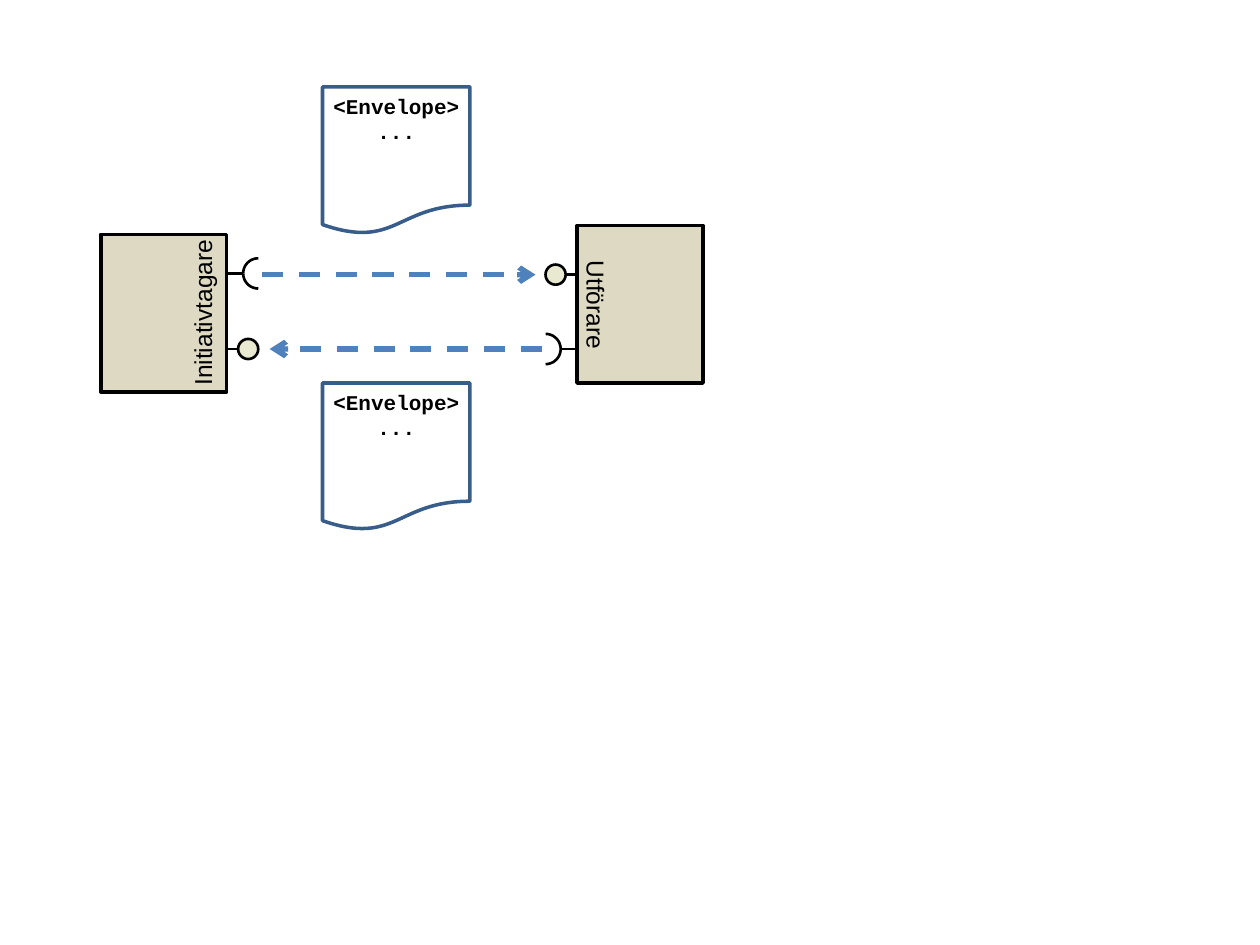
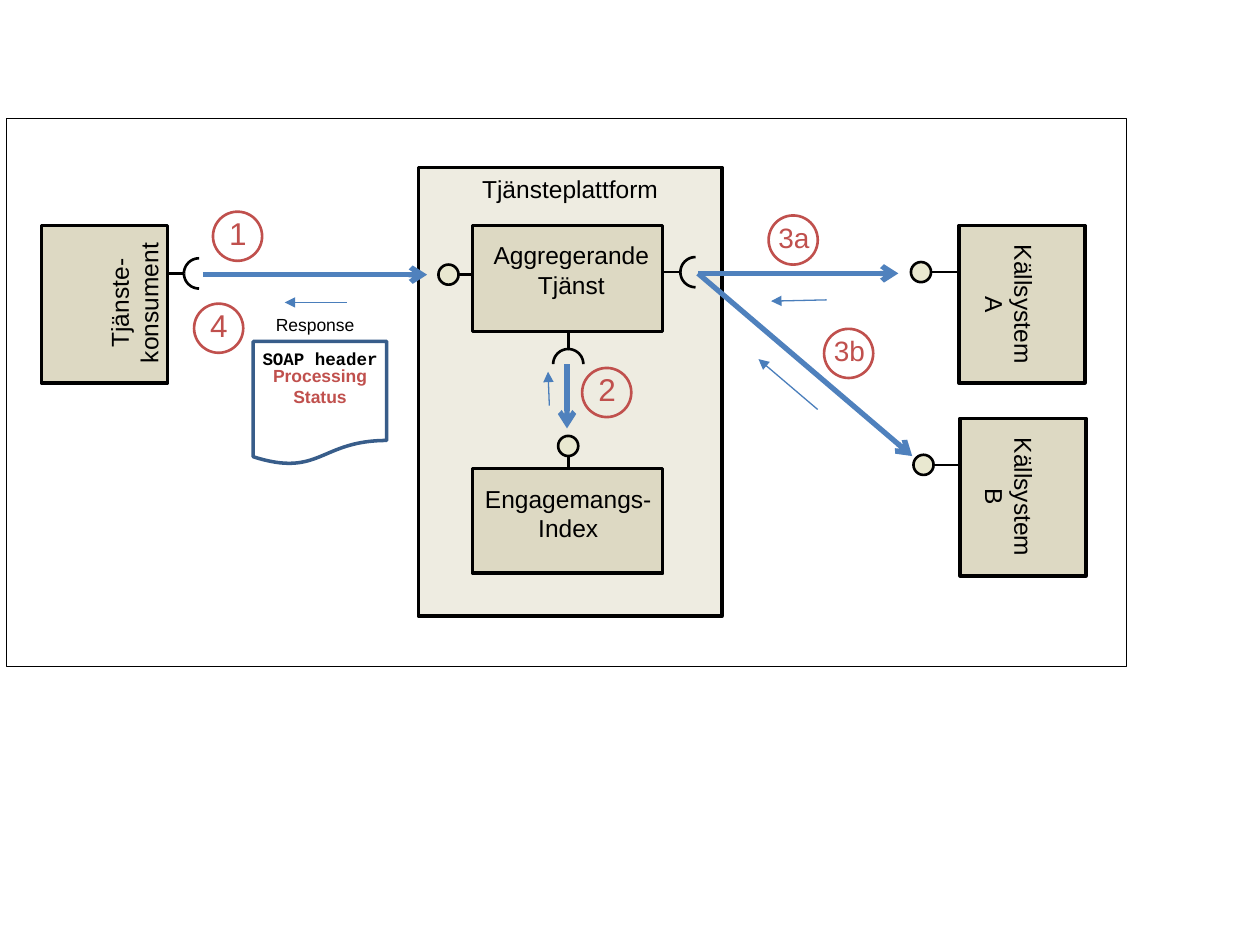
from dataclasses import dataclass
from math import atan2, cos, pi, sin

from lxml.etree import SubElement
from pptx import Presentation
from pptx.dml.color import RGBColor
from pptx.enum.dml import MSO_LINE
from pptx.enum.shapes import MSO_CONNECTOR as Connector, MSO_SHAPE as Shape
from pptx.enum.text import MSO_ANCHOR as Anchor, MSO_AUTO_SIZE as AutoSize, PP_ALIGN as Align
from pptx.oxml.ns import qn
from pptx.util import Inches, Pt


@dataclass(frozen=True)
class Theme:
    ink: str = "000000"
    paper: str = "FFFFFF"
    component: str = "DDD9C3"
    platform: str = "EEECE1"
    ball: str = "E9E8D0"
    document: str = "385D8A"
    request: str = "4F81BD"
    response: str = "4A7EBB"
    accent: str = "C0504D"
    hairline: float = 0.75
    stem: float = 1.5
    outline: float = 2
    thick: float = 3
    ball_radius: float = 0.08
    socket_radius: float = 0.12
    arc_steps: int = 12
    badge_size: float = 0.39
    text_inset: float = 0.1
    tight_inset: float = 0.07


THEME = Theme()

TEXT_STYLES = {
    "label": {"name": "Arial", "size": 14, "color": THEME.ink, "bold": False},
    "caption": {"name": "Arial", "size": 10, "color": THEME.ink, "bold": False},
    "status": {"name": "Arial", "size": 10, "color": THEME.accent, "bold": True},
    "code": {"name": "Courier New", "size": 12, "color": THEME.ink, "bold": True},
    "small code": {"name": "Courier New", "size": 10, "color": THEME.ink, "bold": True},
    "number": {"name": "Arial", "size": 18, "color": THEME.accent, "bold": False},
    "substep": {"name": "Arial", "size": 16, "color": THEME.accent, "bold": False},
}

ARROW_STYLES = {
    "message": (THEME.request, THEME.thick, "arrow", MSO_LINE.DASH),
    "request": (THEME.request, THEME.thick, "arrow", None),
    "response": (THEME.response, THEME.hairline, "triangle", None),
}

BADGE_TEXT = {
    "number": (0.03, -0.03, 0.34, 0.4),
    "substep": (-0.02, -0.01, 0.44, 0.37),
}

MESSAGE_SLIDE = {
    "components": [(0.8, 1.86, 1, 1.25), (4.58, 1.79, 1, 1.25)],
    "ports": [
        ("socket", (1.63, 2.17), (1.93, 2.17)),
        ("ball", (1.53, 2.77), (1.89, 2.77)),
        ("ball", (4.85, 2.18), (4.49, 2.18)),
        ("socket", (4.75, 2.77), (4.45, 2.77)),
    ],
    "arrows": [
        ("message", (2.08, 2.18), (4.25, 2.18)),
        ("message", (4.3, 2.77), (2.14, 2.77)),
    ],
    "documents": [(2.56, 0.69, 1.17, 1.17), (2.56, 3.04, 1.17, 1.17)],
    "texts": [
        (["Initiativtagare"], "label", (0.93, 2.31, 1.36, 0.34), {"rotation": 270, "align": Align.LEFT}),
        (["Utförare"], "label", (4.28, 2.25, 0.9, 0.34), {"rotation": 90, "align": Align.LEFT}),
        (["<Envelope>", "..."], "code", (2.27, 0.69, 1.75, 0.9), {"wrap": True}),
        (["<Envelope>", "..."], "code", (2.27, 3.04, 1.75, 0.9), {"wrap": True}),
    ],
    "badges": [],
}

AGGREGATION_SLIDE = {
    "components": [
        (3.75, 1.79, 1.51, 0.84),
        (3.75, 3.72, 1.51, 0.83),
        (0.33, 1.79, 1, 1.25),
        (7.61, 1.79, 1, 1.25),
        (7.62, 3.32, 1, 1.25),
    ],
    "ports": [
        ("socket", (1.16, 2.17), (1.46, 2.17)),
        ("ball", (4, 2.18), (3.64, 2.18)),
        ("socket", (5.1, 2.16), (5.4, 2.16)),
        ("socket", (4.51, 2.47), (4.51, 2.77)),
        ("ball", (4.51, 3.99), (4.51, 3.62)),
        ("ball", (7.75, 2.16), (7.39, 2.16)),
        ("ball", (7.77, 3.69), (7.41, 3.69)),
    ],
    "arrows": [
        ("request", (1.61, 2.18), (3.39, 2.18)),
        ("response", (2.75, 2.4), (2.26, 2.4)),
        ("request", (4.5, 2.89), (4.5, 3.4)),
        ("response", (4.36, 3.22), (4.35, 2.95)),
        ("request", (5.54, 2.17), (7.13, 2.17)),
        ("response", (6.56, 2.38), (6.12, 2.39)),
        ("request", (5.54, 2.17), (7.24, 3.62)),
        ("response", (6.49, 3.25), (6.02, 2.85)),
    ],
    "documents": [(2.01, 2.71, 1.06, 0.98)],
    "texts": [
        (["Tjänste-", "konsument"], "label", (0.49, 2.12, 1.15, 0.57), {"rotation": 270}),
        (["Aggregerande", "Tjänst"], "label", (3.82, 1.86, 1.43, 0.57), {}),
        (["Engagemangs-", "Index"], "label", (3.75, 3.79, 1.52, 0.57), {}),
        (["Källsystem", "A"], "label", (7.44, 2.13, 1.14, 0.57), {"rotation": 90}),
        (["Källsystem", "B"], "label", (7.44, 3.66, 1.14, 0.57), {"rotation": 90}),
        (["Response"], "caption", (2.09, 2.44, 0.82, 0.27), {}),
        (["SOAP header"], "small code", (1.95, 2.71, 1.18, 0.6), {"wrap": True}),
        (["Processing", "Status"], "status", (2.07, 2.85, 0.94, 0.44), {}),
    ],
    "badges": [
        ("1", "number", 1.69, 1.68),
        ("2", "number", 4.62, 2.92),
        ("3a", "substep", 6.1, 1.71),
        ("3b", "substep", 6.54, 2.61),
        ("4", "number", 1.54, 2.41),
    ],
}

PLATFORM = ("Tjänsteplattform", (3.32, 1.33, 2.41, 3.56))
FRAME = (0.05, 0.94, 8.89, 4.35)


def set_all(target, formats):
    for name, value in formats.items():
        setattr(target, name, value)


def paint_line(line, color, width):
    line.color.rgb = RGBColor.from_string(color)
    line.width = Pt(width)


def paint_shape(shape, fill, color=THEME.ink, width=THEME.outline):
    shape.shadow.inherit = False
    if fill:
        shape.fill.solid()
        shape.fill.fore_color.rgb = RGBColor.from_string(fill)
    else:
        shape.fill.background()
    paint_line(shape.line, color, width)


def add_outlined(page, kind, frame, *paint):
    shape = page.shapes.add_shape(kind, *map(Inches, frame))
    paint_shape(shape, *paint)
    return shape


def add_line(page, start, end, color=THEME.ink, width=THEME.stem, head=None, dash=None):
    line = page.shapes.add_connector(Connector.STRAIGHT, *map(Inches, start + end))
    paint_line(line.line, color, width)
    if dash:
        line.line.dash_style = dash
    if head:
        SubElement(line.line._get_or_add_ln(), qn("a:tailEnd"), type=head)
    SubElement(line._element.spPr, qn("a:effectLst"))


def write(box, lines, style, align):
    formats = dict(TEXT_STYLES[style])
    color = RGBColor.from_string(formats.pop("color"))
    formats["size"] = Pt(formats["size"])
    for index, text in enumerate(lines):
        para = box.paragraphs[0] if index == 0 else box.add_paragraph()
        para.alignment = align
        span = para.add_run()
        span.text = text
        set_all(span.font, formats)
        span.font.color.rgb = color


def add_text(page, lines, style, frame, rotation=0, align=Align.CENTER, wrap=False):
    box = page.shapes.add_textbox(*map(Inches, frame))
    box.rotation = rotation
    right = THEME.text_inset if wrap else THEME.tight_inset
    left = THEME.text_inset if align == Align.LEFT else right
    set_all(box.text_frame, {
        "word_wrap": wrap,
        "auto_size": AutoSize.SHAPE_TO_FIT_TEXT,
        "margin_left": Inches(left),
        "margin_right": Inches(right),
    })
    write(box.text_frame, lines, style, align)


def add_quarter(page, center, start):
    bearings = [start + pi / 2 * step / THEME.arc_steps for step in range(THEME.arc_steps + 1)]
    points = [
        (Inches(center[0] + THEME.socket_radius * cos(bearing)),
         Inches(center[1] + THEME.socket_radius * sin(bearing)))
        for bearing in bearings
    ]
    builder = page.shapes.build_freeform(*points[0])
    builder.add_line_segments(points[1:], close=False)
    paint_shape(builder.convert_to_shape(), None, THEME.ink, THEME.stem)


def add_port(page, kind, root, tip):
    add_line(page, root, tip)
    angle = atan2(tip[1] - root[1], tip[0] - root[0])
    radius = THEME.socket_radius if kind == "socket" else THEME.ball_radius
    x, y = tip[0] + radius * cos(angle), tip[1] + radius * sin(angle)
    if kind == "ball":
        frame = (x - radius, y - radius, 2 * radius, 2 * radius)
        add_outlined(page, Shape.OVAL, frame, THEME.ball, THEME.ink, THEME.stem)
    else:
        for turn in (pi / 2, pi):
            add_quarter(page, (x, y), angle + turn)


def add_badge(page, label, style, left, top):
    shift_x, shift_y, width, height = BADGE_TEXT[style]
    add_text(page, [label], style, (left + shift_x, top + shift_y, width, height), align=Align.LEFT)
    frame = (left, top, THEME.badge_size, THEME.badge_size)
    add_outlined(page, Shape.OVAL, frame, None, THEME.accent, THEME.stem)


def add_platform(page):
    label, frame = PLATFORM
    platform = add_outlined(page, Shape.RECTANGLE, frame, THEME.platform)
    platform.text_frame.vertical_anchor = Anchor.TOP
    write(platform.text_frame, [label], "label", Align.CENTER)
    add_outlined(page, Shape.RECTANGLE, FRAME, None, THEME.ink, THEME.hairline)


def draw(page, content):
    for port in content["ports"]:
        add_port(page, *port)
    for frame in content["components"]:
        add_outlined(page, Shape.RECTANGLE, frame, THEME.component)
    for style, start, end in content["arrows"]:
        add_line(page, start, end, *ARROW_STYLES[style])
    for frame in content["documents"]:
        add_outlined(page, Shape.FLOWCHART_DOCUMENT, frame, THEME.paper, THEME.document)
    for lines, style, frame, options in content["texts"]:
        add_text(page, lines, style, frame, **options)
    for badge in content["badges"]:
        add_badge(page, *badge)


def main():
    deck = Presentation()
    set_all(deck, {"slide_width": Inches(10), "slide_height": Inches(7.5)})
    blank = deck.slide_layouts[6]
    draw(deck.slides.add_slide(blank), MESSAGE_SLIDE)
    aggregation = deck.slides.add_slide(blank)
    add_platform(aggregation)
    draw(aggregation, AGGREGATION_SLIDE)
    deck.save("out.pptx")


if __name__ == "__main__":
    main()
